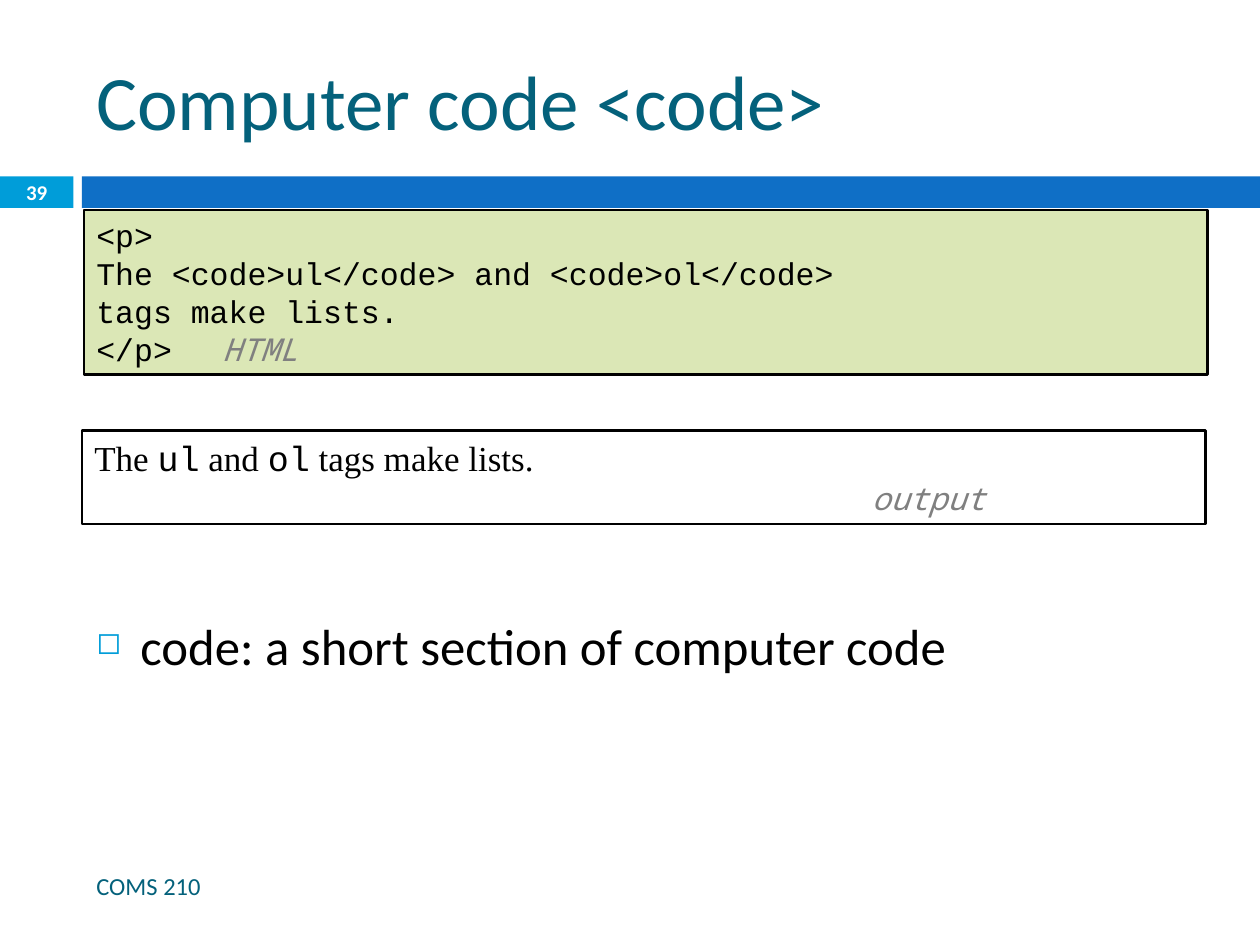
from lxml.etree import SubElement
from pptx import Presentation
from pptx.dml.color import RGBColor
from pptx.enum.shapes import MSO_SHAPE
from pptx.enum.text import MSO_ANCHOR, PP_ALIGN
from pptx.oxml.ns import qn
from pptx.util import Inches, Pt

COLUMNS, ROWS = 120, 90


def color(value):
    return RGBColor.from_string(value)


class SlideBuilder:
    heading, accent, band = "04617B", "009DD9", "0F6FC6"
    ink, muted, paper, code_fill = "000000", "808080", "FFFFFF", "DBE7B6"
    sans, serif, code, label = "Calibri", "Times New Roman", "Courier New", "Noto Sans Mono"

    def __init__(self, deck):
        self.deck = deck
        self.page = deck.slides.add_slide(deck.slide_layouts[6])

    def place(self, left, top, width, height):
        across, down = self.deck.slide_width / COLUMNS, self.deck.slide_height / ROWS
        return [round(n) for n in (left * across, top * down, width * across, height * down)]

    def rectangle(self, cell, fill=None, line=None):
        box = self.page.shapes.add_shape(MSO_SHAPE.RECTANGLE, *self.place(*cell))
        box.shadow.inherit = False
        if fill:
            box.fill.solid()
            box.fill.fore_color.rgb = color(fill)
        else:
            box.fill.background()
        if line:
            box.line.color.rgb = color(line)
            box.line.width = Pt(1.5)
        else:
            box.line.fill.background()
        return self.frame(box, MSO_ANCHOR.TOP)

    def text_box(self, cell, anchor=MSO_ANCHOR.MIDDLE):
        return self.frame(self.page.shapes.add_textbox(*self.place(*cell)), anchor)

    def frame(self, box, anchor):
        box.text_frame.word_wrap = True
        box.text_frame.vertical_anchor = anchor
        return box

    def paragraph(self, box, first=False, align=PP_ALIGN.LEFT, indent=0, hanging=0):
        para = box.text_frame.paragraphs[0] if first else box.text_frame.add_paragraph()
        para.alignment = align
        properties = para._p.get_or_add_pPr()
        properties.set("marL", str(Inches(indent)))
        properties.set("indent", str(Inches(-hanging)))
        return para

    def run(self, para, text, size, font, tint, bold=False, italic=False):
        span = para.add_run()
        span.text = text
        span.font.size = Pt(size)
        span.font.name = font
        span.font.bold = bold
        span.font.italic = italic
        span.font.color.rgb = color(tint)

    def bullet(self, para, symbol, tint, percent):
        properties = para._p.get_or_add_pPr()
        shade = SubElement(properties, qn("a:buClr"))
        SubElement(shade, qn("a:srgbClr"), val=tint)
        SubElement(properties, qn("a:buSzPct"), val=str(percent * 1000))
        SubElement(properties, qn("a:buChar"), char=symbol)

    def right_tab(self, para, position):
        stops = SubElement(para._p.get_or_add_pPr(), qn("a:tabLst"))
        SubElement(stops, qn("a:tab"), pos=str(Inches(position)), algn="r")

    def line_of_text(self, cell, text, size, tint, align=PP_ALIGN.LEFT, bold=False):
        para = self.paragraph(self.text_box(cell), True, align)
        self.run(para, text, size, self.sans, tint, bold)

    def code_panel(self, cell, lines, language):
        box = self.rectangle(cell, self.code_fill, self.ink)
        for index, line in enumerate(lines):
            para = self.paragraph(box, index == 0)
            self.run(para, line, 18, self.code, self.ink)
        self.right_tab(para, 8.7)
        self.run(para, "\t", 18, self.code, self.ink)
        self.run(para, language, 18, self.label, self.muted, italic=True)

    def output_panel(self, cell, pieces, caption):
        box = self.rectangle(cell, line=self.ink)
        para = self.paragraph(box, True)
        for text, font in pieces:
            self.run(para, text, 20, font, self.ink)
        para = self.paragraph(box, indent=6.17)
        self.run(para, caption, 18, self.label, self.muted, italic=True)

    def bullet_list(self, cell, items):
        box = self.text_box(cell, MSO_ANCHOR.TOP)
        for index, item in enumerate(items):
            para = self.paragraph(box, index == 0, indent=0.35, hanging=0.35)
            para.space_before = Pt(7)
            self.bullet(para, "◻", self.accent, 60)
            self.run(para, item, 29, self.sans, self.ink)


def main():
    deck = Presentation()
    deck.slide_width, deck.slide_height = Inches(10), Inches(7.5)
    slide = SlideBuilder(deck)

    slide.rectangle((0, 16.8, 7, 3), slide.accent)
    slide.rectangle((7.8, 16.8, 112.2, 3), slide.band)
    slide.line_of_text((8, 3, 107, 13), "Computer code <code>", 44, slide.heading)
    slide.line_of_text((0, 16.7, 7, 3.2), "39", 12, slide.paper, PP_ALIGN.CENTER, True)
    slide.code_panel(
        (8, 20, 107, 15.7),
        ["<p>", "The <code>ul</code> and <code>ol</code>", "tags make lists.", "</p>"],
        "HTML",
    )
    slide.output_panel(
        (7.8, 41, 107, 8.9),
        [("The ", slide.serif), ("ul", slide.code), (" and ", slide.serif),
         ("ol", slide.code), (" tags make lists.", slide.serif)],
        "output",
    )
    slide.line_of_text((8, 82, 71.2, 4.8), "COMS 210", 14, slide.heading)
    slide.bullet_list((8, 58, 107, 21), ["code: a short section of computer code"])

    deck.save("out.pptx")


if __name__ == "__main__":
    main()
